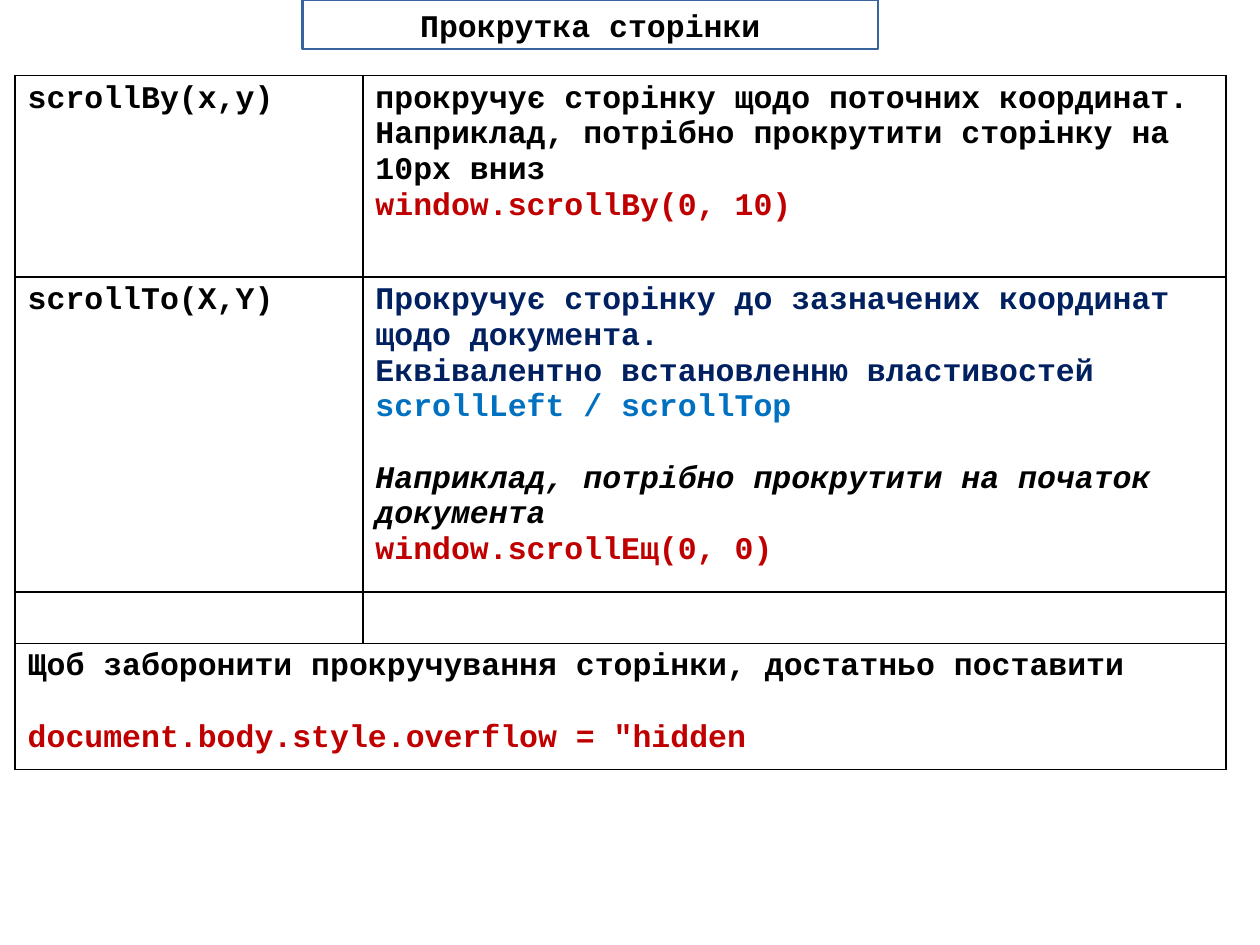
from dataclasses import dataclass

from lxml.etree import SubElement
from pptx import Presentation
from pptx.dml.color import RGBColor
from pptx.enum.shapes import MSO_SHAPE as Shape
from pptx.enum.text import MSO_ANCHOR as Anchor, PP_ALIGN as Align
from pptx.oxml.ns import qn
from pptx.util import Inches, Pt

BLACK, WHITE = "000000", "FFFFFF"
RED, NAVY, BLUE = "C00000", "002060", "0070C0"
LINE_GAP = Pt(20.4)


@dataclass
class Line:
    text: str
    color: str = BLACK
    italic: bool = False
    gap: bool = False


@dataclass
class Row:
    height: float
    cells: list[list[Line]]


ROWS = [
    Row(1.6, [
        [Line("scrollBy(x,y)")],
        [
            Line("прокручує сторінку щодо поточних координат."),
            Line("Наприклад, потрібно прокрутити сторінку на 10px вниз"),
            Line("window.scrollBy(0, 10)", RED),
        ],
    ]),
    Row(2.5, [
        [Line("scrollTo(X,Y)")],
        [
            Line("Прокручує сторінку до зазначених координат щодо документа.", NAVY),
            Line("Еквівалентно встановленню властивостей", NAVY),
            Line("scrollLeft / scrollTop", BLUE),
            Line("Наприклад, потрібно прокрутити на початок документа",
                 italic=True, gap=True),
            Line("window.scrollЕщ(0, 0)", RED),
        ],
    ]),
    Row(0.4, [[], []]),
    Row(1.0, [
        [
            Line("Щоб заборонити прокручування сторінки, достатньо поставити"),
            Line('document.body.style.overflow = "hidden', RED, gap=True),
        ],
    ]),
]
COLUMN_WIDTHS = [2.76, 6.85]


def rgb(color: str) -> RGBColor:
    return RGBColor.from_string(color)


def write_lines(text_frame, lines: list[Line], align=Align.LEFT) -> None:
    for index, line in enumerate(lines):
        paragraph = text_frame.add_paragraph() if index else text_frame.paragraphs[0]
        paragraph.text = line.text
        paragraph.alignment = align
        if line.gap:
            paragraph.space_before = LINE_GAP
        font = paragraph.font
        font.name = "Courier New"
        font.size = Pt(18)
        font.bold = True
        font.italic = line.italic
        font.color.rgb = rgb(line.color)


def style_cell(cell) -> None:
    properties = cell._tc.get_or_add_tcPr()
    for side in ("lnL", "lnR", "lnT", "lnB"):
        border = SubElement(properties, qn(f"a:{side}"), w=str(Pt(1)))
        fill = SubElement(border, qn("a:solidFill"))
        SubElement(fill, qn("a:srgbClr"), val=BLACK)
    cell.fill.background()


def add_title(slide, title: str) -> None:
    shape = slide.shapes.add_shape(
        Shape.RECTANGLE, Inches(2.4), Inches(0), Inches(4.57), Inches(0.39))
    shape.shadow.inherit = False
    shape.fill.solid()
    shape.fill.fore_color.rgb = rgb(WHITE)
    shape.line.color.rgb = rgb("39639D")
    shape.line.width = Pt(1.5)
    shape.text_frame.word_wrap = True
    shape.text_frame.vertical_anchor = Anchor.MIDDLE
    write_lines(shape.text_frame, [Line(title)], Align.CENTER)


def add_methods_table(slide, rows: list[Row]) -> None:
    table = slide.shapes.add_table(
        len(rows), len(COLUMN_WIDTHS), Inches(0.12), Inches(0.6),
        Inches(sum(COLUMN_WIDTHS)), Inches(sum(row.height for row in rows))).table
    table.first_row = False
    table.horz_banding = False
    for column, width in zip(table.columns, COLUMN_WIDTHS):
        column.width = Inches(width)
    for cell in table.iter_cells():
        style_cell(cell)
    for index, row in enumerate(rows):
        table.rows[index].height = Inches(row.height)
        if len(row.cells) == 1:
            table.cell(index, 0).merge(table.cell(index, len(COLUMN_WIDTHS) - 1))
        for column, lines in enumerate(row.cells):
            write_lines(table.cell(index, column).text_frame, lines)


def main() -> None:
    presentation = Presentation()
    presentation.slide_width = Inches(10)
    presentation.slide_height = Inches(7.5)
    slide = presentation.slides.add_slide(presentation.slide_layouts[6])
    add_title(slide, "Прокрутка сторінки")
    add_methods_table(slide, ROWS)
    presentation.save("out.pptx")


if __name__ == "__main__":
    main()
